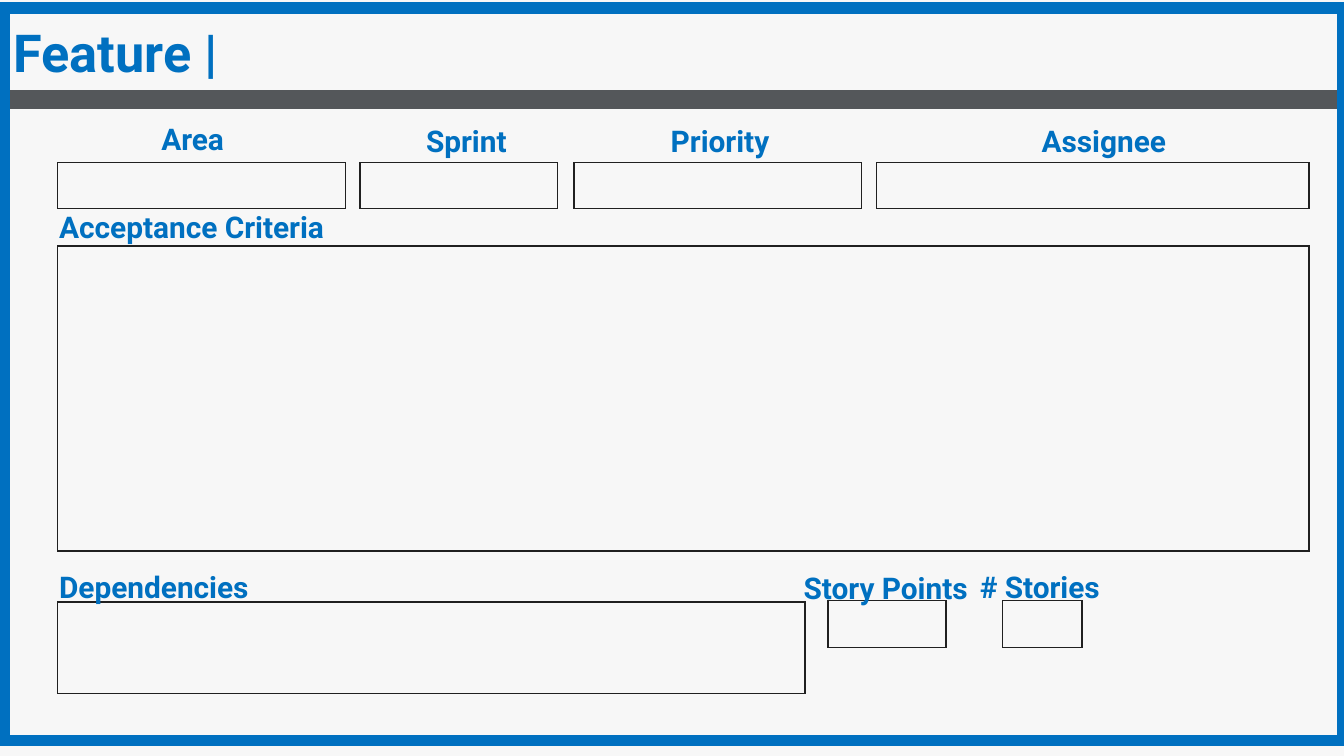
"""Build a blank feature card with labelled boxes to fill in."""
from dataclasses import dataclass
from typing import Optional

from lxml import etree
from pptx import Presentation
from pptx import util as u
from pptx.dml.color import RGBColor
from pptx.enum import shapes, text
from pptx.oxml import ns

BLUE = RGBColor(0x00, 0x70, 0xC0)
INK = RGBColor(0x20, 0x20, 0x20)
SLATE = RGBColor(0x54, 0x57, 0x5A)
PAPER = RGBColor(0xF7, 0xF7, 0xF7)
SLIDE_WIDTH = u.Inches(10)
SLIDE_HEIGHT = SLIDE_WIDTH * 9 // 16
LABEL_HEIGHT = 0.16


@dataclass(frozen=True)
class Box:
    left: float
    top: float
    width: float
    height: float

    def lengths(self) -> list:
        return [u.Inches(n) for n in (self.left, self.top, self.width, self.height)]


@dataclass(frozen=True)
class Field:
    label: str
    label_left: float
    label_top: float
    box: Box
    label_width: float = 1.58


FIELDS = [
    Field("Acceptance Criteria", 0.44, 1.55, Box(0.43, 1.83, 9.31, 2.27), 4.65),
    Field("Area", 1.2, 0.9, Box(0.43, 1.21, 2.14, 0.34)),
    Field("Sprint", 3.17, 0.91, Box(2.68, 1.21, 1.47, 0.34)),
    Field("Priority", 4.99, 0.91, Box(4.27, 1.21, 2.14, 0.34)),
    Field("Assignee", 7.75, 0.91, Box(6.52, 1.21, 3.22, 0.34)),
    Field("Dependencies", 0.44, 4.23, Box(0.43, 4.48, 5.56, 0.68)),
    Field("Story Points", 5.98, 4.24, Box(6.16, 4.47, 0.88, 0.35)),
    Field("# Stories", 7.29, 4.23, Box(7.46, 4.47, 0.59, 0.35)),
]


def set_all(target, values: dict) -> None:
    """Set every attribute in values on target."""
    for name, value in values.items():
        setattr(target, name, value)


def write(frame, words: str, size: float, margins: tuple, spacing: float) -> None:
    """Write one bold blue line at the top left of a text frame."""
    left, top, right, bottom = (u.Inches(m) for m in margins)
    set_all(frame, {
        "word_wrap": True, "auto_size": text.MSO_AUTO_SIZE.NONE,
        "vertical_anchor": text.MSO_ANCHOR.TOP,
        "margin_left": left, "margin_top": top,
        "margin_right": right, "margin_bottom": bottom,
    })
    line = frame.paragraphs[0]
    set_all(line, {"alignment": text.PP_ALIGN.LEFT, "line_spacing": spacing})
    run = line.add_run()
    run.text = words
    set_all(run.font, {"name": "Roboto", "size": u.Pt(size), "bold": True})
    run.font.color.rgb = BLUE


def add_rectangle(slide, box: Box, fill: Optional[RGBColor] = None,
                  outline: Optional[RGBColor] = None, weight: float = 0.75) -> None:
    """Draw a rectangle with an optional fill and a square-cornered outline."""
    rectangle = slide.shapes.add_shape(shapes.MSO_SHAPE.RECTANGLE, *box.lengths())
    rectangle.shadow.inherit = False
    if fill is None:
        rectangle.fill.background()
    else:
        rectangle.fill.solid()
        rectangle.fill.fore_color.rgb = fill
    if outline is None:
        rectangle.line.fill.background()
    else:
        rectangle.line.color.rgb = outline
        rectangle.line.width = u.Pt(weight)
        stroke = rectangle.element.spPr.find(ns.qn("a:ln"))
        etree.SubElement(stroke, ns.qn("a:miter"), lim="800000")


def add_field(slide, field: Field) -> None:
    """Draw the box of a field and its label."""
    add_rectangle(slide, field.box, outline=INK)
    place = Box(field.label_left, field.label_top, field.label_width, LABEL_HEIGHT)
    label = slide.shapes.add_textbox(*place.lengths())
    write(label.text_frame, field.label, 16, (0, 0, 0, 0), 1.0)


def add_title(slide, words: str, box: Box) -> None:
    """Move the title placeholder into box and write its words."""
    title = slide.shapes.title
    set_all(title, dict(zip(("left", "top", "width", "height"), box.lengths())))
    write(title.text_frame, words, 28, (0.1, 0.05, 0.1, 0.05), 0.8)


def main() -> None:
    """Build and save the card."""
    deck = Presentation()
    set_all(deck, {"slide_width": SLIDE_WIDTH, "slide_height": SLIDE_HEIGHT})
    card = deck.slides.add_slide(deck.slide_layouts[5])
    card.background.fill.solid()
    card.background.fill.fore_color.rgb = PAPER
    add_title(card, "Feature |", Box(0, 0.19, 1.79, 0.28))
    for field in FIELDS:
        add_field(card, field)
    add_rectangle(card, Box(0.03, 0.67, 9.96, 0.14), fill=SLATE)
    add_rectangle(card, Box(0.03, 0.06, 9.96, 5.45), outline=BLUE, weight=6)
    deck.save("out.pptx")


if __name__ == "__main__":
    main()
